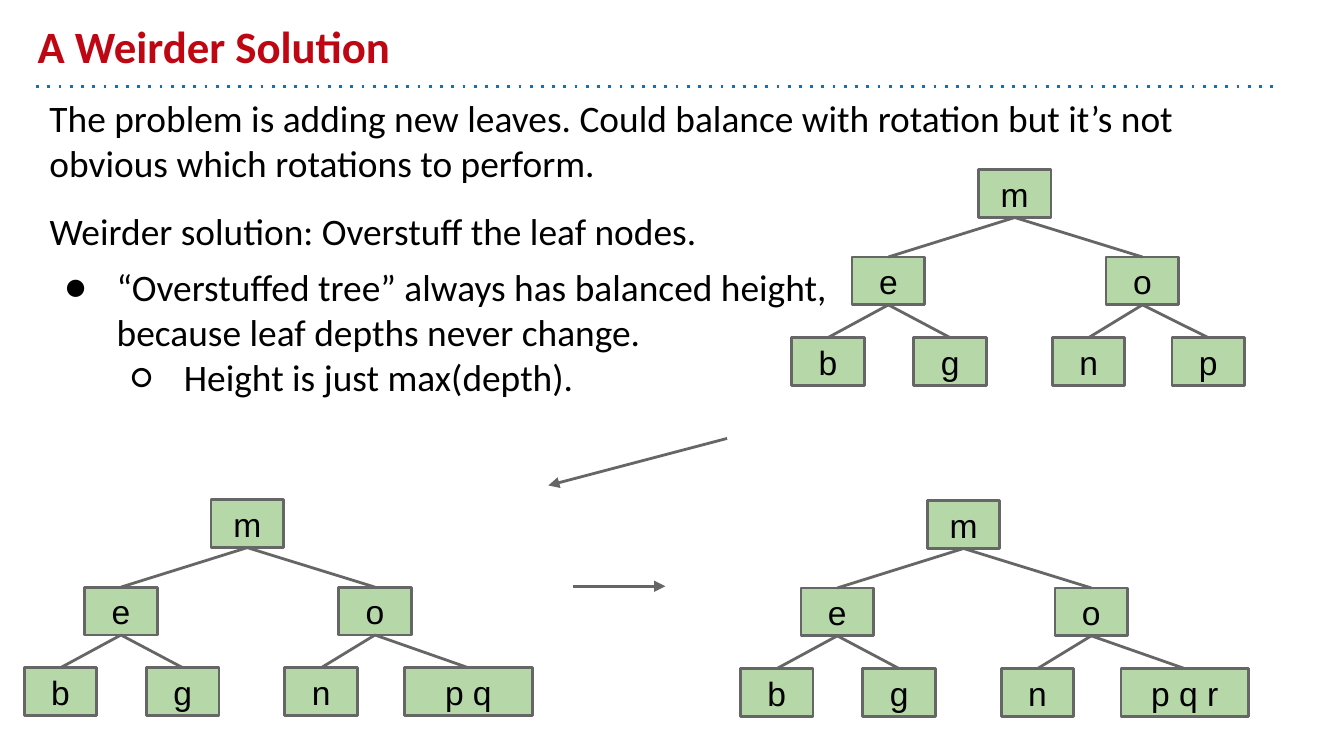
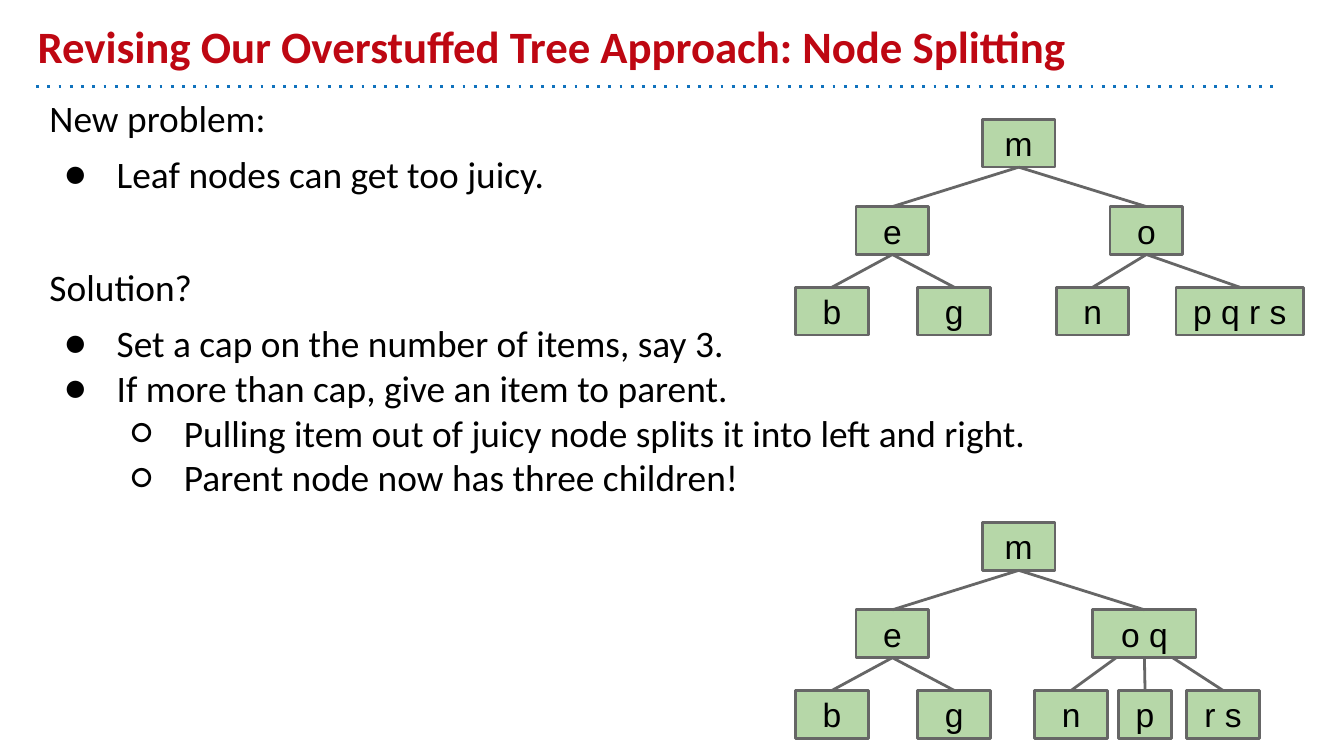
from dataclasses import dataclass
from typing import NamedTuple

from lxml.etree import SubElement
from pptx import Presentation
from pptx.dml.color import RGBColor
from pptx.enum.shapes import MSO_CONNECTOR, MSO_SHAPE
from pptx.enum.text import MSO_ANCHOR as Anchor, MSO_AUTO_SIZE as AutoSize, PP_ALIGN as Align
from pptx.oxml.ns import qn
from pptx.util import Emu, Inches, Pt

# The slide is divided into 100 columns and 90 rows.
WIDTH, HEIGHT = Inches(10), Inches(5.625)
COLS, ROWS = 100, 90

RED, BLUE, BLACK = "BE0712", "1072BD", "000000"
GREEN, GRAY = "B6D7A8", "666666"
TEXT_FONT, NODE_FONT = "Calibri", "Arial"
LINE_WIDTH = Pt(1.5)
INSET = Inches(0.1)

NODE_W, NODE_H = 5.4, 5.7
LEVEL_ROWS = (0, 10.4, 20)  # top of each tree level below the root's top


class Point(NamedTuple):
    col: float
    row: float


class Box(NamedTuple):
    col: float
    row: float
    cols: float
    rows: float


@dataclass(frozen=True)
class Line:
    text: str
    level: int = 0  # 0 is plain, 1 and 2 are bullets
    before: float = 0


@dataclass(frozen=True)
class Node:
    text: str
    left: float  # columns from the root's left edge
    children: tuple["Node", ...] = ()
    width: float = NODE_W
    port_gap: float = 0  # columns between the edges leaving the node


def x(cols: float) -> Emu:
    return Emu(round(WIDTH * cols / COLS))


def y(rows: float) -> Emu:
    return Emu(round(HEIGHT * rows / ROWS))


def place(box: Box) -> tuple[Emu, Emu, Emu, Emu]:
    return x(box.col), y(box.row), x(box.cols), y(box.rows)


def rgb(color: str) -> RGBColor:
    return RGBColor.from_string(color)


def style_frame(tf, anchor: Anchor) -> None:
    tf.word_wrap = True
    tf.auto_size = AutoSize.NONE
    tf.vertical_anchor = anchor
    tf.margin_left = tf.margin_right = tf.margin_top = tf.margin_bottom = INSET


def style_runs(p, font: str, size: float, color: str, bold: bool = False) -> None:
    for r in p.runs:
        r.font.name, r.font.size, r.font.bold = font, Pt(size), bold
        r.font.color.rgb = rgb(color)


def add_bullet(p, level: int) -> None:
    p.level = level - 1
    pPr = p._p.get_or_add_pPr()
    pPr.set("marL", str(Inches(0.5 * level)))
    pPr.set("indent", str(Inches(-0.39)))
    SubElement(SubElement(pPr, qn("a:buClr")), qn("a:srgbClr"), val=BLACK)
    SubElement(pPr, qn("a:buFont"), typeface=TEXT_FONT)
    SubElement(pPr, qn("a:buChar"), char="●○"[level - 1])


def add_line(s, start: Point, end: Point, color: str = GRAY,
             dash: str = "", arrow: bool = False):
    line = s.shapes.add_connector(MSO_CONNECTOR.STRAIGHT, x(start.col), y(start.row),
                                  x(end.col), y(end.row))
    line.line.color.rgb = rgb(color)
    line.line.width = LINE_WIDTH
    spPr = line._element.spPr
    ln = spPr.find(qn("a:ln"))
    if dash:
        SubElement(ln, qn("a:prstDash"), val=dash)
    if arrow:
        SubElement(ln, qn("a:tailEnd"), type="triangle")
    SubElement(spPr, qn("a:effectLst"))
    return line


def add_text(s, box: Box, lines: list[Line]) -> None:
    tf = s.shapes.add_textbox(*place(box)).text_frame
    style_frame(tf, Anchor.TOP)
    for i, line in enumerate(lines):
        p = tf.add_paragraph() if i else tf.paragraphs[0]
        p.text = line.text
        if line.level:
            add_bullet(p, line.level)
        p.space_before = Pt(line.before)
        style_runs(p, TEXT_FONT, 20, BLACK)


def add_node(s, box: Box, text: str):
    sp = s.shapes.add_shape(MSO_SHAPE.RECTANGLE, *place(box))
    sp.shadow.inherit = False
    sp.fill.solid()
    sp.fill.fore_color.rgb = rgb(GREEN)
    sp.line.color.rgb = rgb(GRAY)
    sp.line.width = LINE_WIDTH
    tf = sp.text_frame
    style_frame(tf, Anchor.MIDDLE)
    tf.text = text
    tf.paragraphs[0].alignment = Align.CENTER
    style_runs(tf.paragraphs[0], NODE_FONT, 18, BLACK)
    return sp


def add_tree(s, node: Node, root: Point, level: int = 0):
    """Draw a node, its subtrees and the edges to them; return the node's shape."""
    top = root.row + LEVEL_ROWS[level]
    sp = add_node(s, Box(root.col + node.left, top, node.width, NODE_H), node.text)
    middle = (len(node.children) - 1) / 2
    for i, child in enumerate(node.children):
        child_sp = add_tree(s, child, root, level + 1)
        port = root.col + node.left + node.width / 2 + (i - middle) * node.port_gap
        edge = add_line(s, Point(port, top + NODE_H),
                        Point(root.col + child.left + child.width / 2,
                              root.row + LEVEL_ROWS[level + 1]))
        if not node.port_gap:
            edge.begin_connect(sp, 2)
        edge.end_connect(child_sp, 0)
    return sp


def letter_tree(right: Node) -> Node:
    """Tree rooted at m, with the same left half and the given right half."""
    left = Node("e", -9.4, (Node("b", -13.9), Node("g", -4.8)))
    return Node("m", 0, (left, right))


def stuffed_tree(leaf: str) -> Node:
    """Tree whose last leaf holds every letter of the given text."""
    last = Node(leaf, 14.4, width=NODE_W if len(leaf) == 1 else 9.5)
    return letter_tree(Node("o", 9.5, (Node("n", 5.5), last)))


def split_tree() -> Node:
    leaves = (Node("n", 3.9), Node("p", 10.1, width=4), Node("r s", 15.2))
    return letter_tree(Node("o q", 8.2, leaves, width=7.7, port_gap=2.1))


def add_titled_slide(prs, title: str):
    s = prs.slides.add_slide(prs.slide_layouts[5])
    sp = s.shapes.title
    sp.left, sp.top, sp.width, sp.height = place(Box(1.8, 1.6, 90, 8.64))
    tf = sp.text_frame
    style_frame(tf, Anchor.BOTTOM)
    tf.text = title
    tf.paragraphs[0].alignment = Align.LEFT
    style_runs(tf.paragraphs[0], TEXT_FONT, 24, RED, bold=True)
    add_line(s, Point(2.7, 10.3), Point(95, 10.3), BLUE, dash="dot")
    return s


def weirder_solution(prs) -> None:
    s = add_titled_slide(prs, "A Weirder Solution")
    add_text(s, Box(2.7, 9.76, 92.3, 15), [
        Line("The problem is adding new leaves. Could balance with rotation but "
             "it’s not obvious which rotations to perform."),
    ])
    add_text(s, Box(2.7, 23.2, 59.9, 25.1), [
        Line("Weirder solution: Overstuff the leaf nodes."),
        Line("“Overstuffed tree” always has balanced height, "
             "because leaf depths never change.", 1, before=6),
        Line("Height is just max(depth).", 2),
    ])
    for leaf, root in (("p", Point(72.8, 20.2)),
                       ("p q", Point(15.7, 59.5)),
                       ("p q r", Point(69, 59.6))):
        add_tree(s, stuffed_tree(leaf), root)
    add_line(s, Point(54.1, 52.2), Point(40.8, 57.8), arrow=True)
    add_line(s, Point(42.6, 69.8), Point(49.5, 69.8), arrow=True)


def node_splitting(prs) -> None:
    s = add_titled_slide(prs, "Revising Our Overstuffed Tree Approach: Node Splitting")
    add_text(s, Box(2.7, 9.76, 92.3, 49.8), [
        Line("New problem:"),
        Line("Leaf nodes can get too juicy.", 1, before=6),
        Line("Solution?", before=36.4),
        Line("Set a cap on the number of items, say 3.", 1, before=6),
        Line("If more than cap, give an item to parent.", 1),
        Line("Pulling item out of juicy node splits it into left and right.", 2),
        Line("Parent node now has three children!", 2),
    ])
    add_tree(s, stuffed_tree("p q r s"), Point(73.1, 14.2))
    add_tree(s, split_tree(), Point(73.1, 62.2))


def main() -> None:
    prs = Presentation()
    prs.slide_width, prs.slide_height = WIDTH, HEIGHT
    weirder_solution(prs)
    node_splitting(prs)
    prs.save("out.pptx")


if __name__ == "__main__":
    main()
